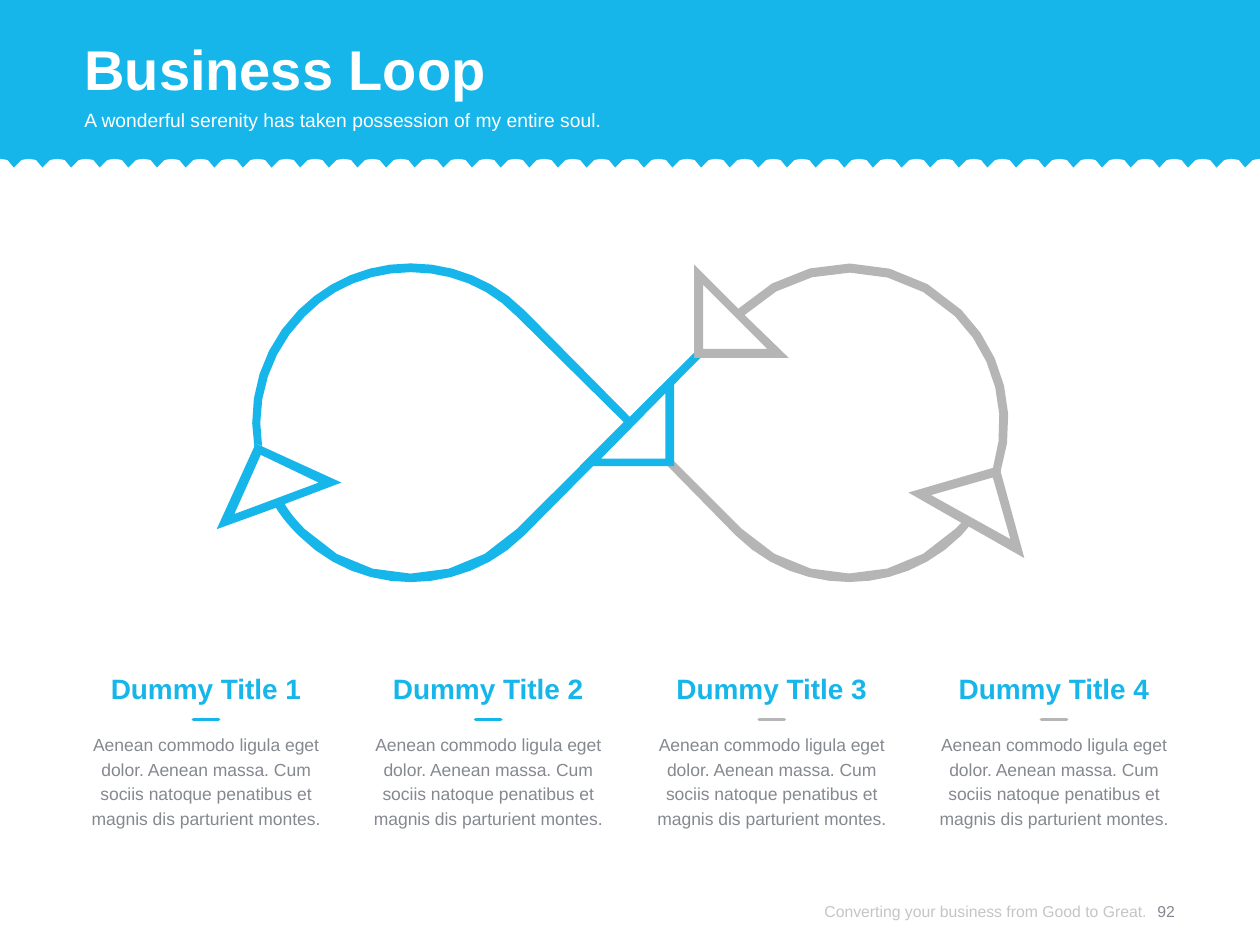
"""Build the Business Loop slide: a scalloped header, a loop of four arrows and four captions."""
import dataclasses
import typing

import lxml.etree
import pptx
import pptx.dml.color
import pptx.enum.shapes
import pptx.enum.text
import pptx.oxml.ns
import pptx.util

SCALE = 9144
CURVE_STEPS = 6
SLIDE_WIDTH, SLIDE_HEIGHT = 1000, 750
ALIGN = pptx.enum.text.PP_ALIGN
ANCHOR = pptx.enum.text.MSO_ANCHOR
qn = pptx.oxml.ns.qn

Contour = list[tuple[float, ...]]


@dataclasses.dataclass(frozen=True)
class Theme:
    font: str = "Arial"
    blue: str = "16B6EA"
    gray: str = "B5B5B5"
    white: str = "FFFFFF"
    body: str = "85898F"
    footer: str = "8C8C8C"
    title_size: int = 32
    subtitle_size: int = 11
    heading_size: int = 16
    body_size: int = 10
    footer_size: int = 9


class Box(typing.NamedTuple):
    left: int
    top: int
    width: int
    height: int


class Style(typing.NamedTuple):
    size: int
    color: str
    bold: bool = False
    align: ALIGN = ALIGN.LEFT
    anchor: ANCHOR = ANCHOR.TOP
    line_points: int | None = None


class Caption(typing.NamedTuple):
    heading: str
    dash_color: str


class Arrow(typing.NamedTuple):
    color: str
    outline: Contour
    hole: Contour


THEME = Theme()
CAPTION_TEXT = ("Aenean commodo ligula eget dolor. Aenean massa. Cum sociis natoque "
                "penatibus et magnis dis parturient montes.")
CAPTIONS = [Caption(f"Dummy Title {number}", color) for number, color in
            enumerate((THEME.blue, THEME.blue, THEME.gray, THEME.gray), 1)]
ARROWS = [
    Arrow(THEME.gray,
          [(793, 370), (721, 391), (763, 415), (758, 420),
           (712, 467, 636, 467, 589, 420), (535, 366), (535, 370), (530, 370), (584, 425),
           (609, 450, 642, 462, 674, 462), (706, 462, 738, 450, 763, 425),
           (769, 418), (813, 443)],
          [(739, 393), (788, 379), (802, 428)]),
    Arrow(THEME.gray,
          [(763, 246), (714, 197, 635, 197, 586, 245), (551, 210), (551, 284), (626, 284),
           (591, 250), (637, 205, 712, 205, 758, 251), (790, 283, 801, 329, 788, 372),
           (793, 370), (794, 375), (809, 329, 797, 280, 763, 246)],
          [(609, 277), (558, 277), (558, 226)]),
    Arrow(THEME.blue,
          [(551, 284), (551, 280), (410, 420), (364, 467, 288, 467, 242, 420),
           (236, 414, 230, 407, 226, 400), (271, 383), (203, 352), (172, 420), (219, 403),
           (224, 411, 230, 418, 237, 425), (262, 450, 294, 462, 326, 462),
           (358, 462, 391, 450, 416, 425), (556, 284)],
          [(186, 408), (207, 361), (253, 383)]),
    Arrow(THEME.blue,
          [(500, 331), (416, 246), (392, 222, 360, 209, 326, 209),
           (292, 209, 261, 222, 237, 246), (208, 275, 195, 316, 202, 356), (203, 352),
           (208, 354), (202, 317, 215, 278, 242, 251), (264, 228, 294, 216, 326, 216),
           (358, 216, 388, 228, 410, 251), (495, 335), (460, 370), (535, 370), (535, 296)],
          [(528, 364), (477, 364), (528, 312)]),
]


def px(length: float) -> pptx.util.Emu:
    """Turn px into EMU."""
    return pptx.util.Emu(round(length * SCALE))


def rgb(color: str) -> pptx.dml.color.RGBColor:
    """Read a colour from its hexadecimal form."""
    return pptx.dml.color.RGBColor.from_string(color)


def flatten(contour: Contour) -> list[tuple[int, int]]:
    """Turn corners and cubic curves into a list of EMU points."""
    points = [contour[0]]
    for vertex in contour[1:]:
        if len(vertex) == 2:
            points.append(vertex)
            continue
        controls = (points[-1], vertex[:2], vertex[2:4], vertex[4:])
        for step in range(1, CURVE_STEPS + 1):
            t = step / CURVE_STEPS
            weights = ((1 - t) ** 3, 3 * t * (1 - t) ** 2, 3 * t ** 2 * (1 - t), t ** 3)
            points.append(tuple(sum(weight * control[axis] for weight, control
                                    in zip(weights, controls)) for axis in (0, 1)))
    return [(px(x), px(y)) for x, y in points]


def draw_outline(shapes, color: str, *contours: Contour):
    """Draw a filled outline, with any further contours as holes."""
    first, *holes = [flatten(contour) for contour in contours]
    builder = shapes.build_freeform(*first[0])
    builder.add_line_segments(first[1:], close=True)
    for hole in holes:
        builder.move_to(*hole[0])
        builder.add_line_segments(hole[1:], close=True)
    shape = builder.convert_to_shape()
    shape.shadow.inherit = False
    shape.fill.solid()
    shape.fill.fore_color.rgb = rgb(color)
    shape.line.fill.background()
    return shape


def scalloped_band() -> Contour:
    """Outline the header band with its row of equal scallops."""
    count = 44
    pitch = SLIDE_WIDTH / count
    scallop = ((0, 126), (6, 127), (11, 133), (17, 127))
    edge = [(index * pitch + x, y) for index in range(count) for x, y in scallop]
    return [(0, 0), *edge, (SLIDE_WIDTH, 126), (SLIDE_WIDTH, 0)]


def write_text(shape, box: Box, text: str, style: Style) -> None:
    """Place a text shape and write one formatted run in it."""
    shape.left, shape.top, shape.width, shape.height = map(px, box)
    frame = shape.text_frame
    frame.word_wrap = True
    frame.auto_size = pptx.enum.text.MSO_AUTO_SIZE.NONE
    frame.vertical_anchor = style.anchor
    frame.margin_left = frame.margin_top = frame.margin_right = frame.margin_bottom = 0
    paragraph = frame.paragraphs[0]
    paragraph.alignment = style.align
    paragraph.space_before = pptx.util.Pt(0)
    if style.line_points:
        paragraph.line_spacing = pptx.util.Pt(style.line_points)
    run = paragraph.add_run()
    run.text = text
    run.font.name = THEME.font
    run.font.size = pptx.util.Pt(style.size)
    run.font.bold = style.bold
    run.font.color.rgb = rgb(style.color)


def add_text(shapes, box: Box, text: str, style: Style):
    """Add a text box."""
    shape = shapes.add_textbox(*map(px, box))
    write_text(shape, box, text, style)
    return shape


def draw_caption(slide, left: int, caption: Caption) -> None:
    """Draw a grouped heading, dash and paragraph."""
    width, dash_width, dash_top = 193, 20, 571
    shapes = slide.shapes.add_group_shape().shapes
    add_text(shapes, Box(left, 580, width, 79), CAPTION_TEXT,
             Style(THEME.body_size, THEME.body, align=ALIGN.CENTER, line_points=14))
    add_text(shapes, Box(left, 533, width, 27), caption.heading,
             Style(THEME.heading_size, THEME.blue, bold=True, align=ALIGN.CENTER))
    start = left + (width - dash_width) / 2
    dash = shapes.add_connector(pptx.enum.shapes.MSO_CONNECTOR.STRAIGHT, px(start),
                                px(dash_top), px(start + dash_width), px(dash_top))
    dash.line.color.rgb = rgb(caption.dash_color)
    dash.line.width = pptx.util.Pt(2)
    properties = dash.element.spPr
    properties.find(qn("a:ln")).set("cap", "rnd")
    lxml.etree.SubElement(properties, qn("a:effectLst"))


def main() -> None:
    """Build and save the slide."""
    presentation = pptx.Presentation()
    presentation.slide_width, presentation.slide_height = px(SLIDE_WIDTH), px(SLIDE_HEIGHT)
    slide = presentation.slides.add_slide(presentation.slide_layouts.get_by_name("Section Header"))
    title, subtitle = slide.placeholders
    band = draw_outline(slide.shapes, THEME.blue, scalloped_band())
    title.element.addprevious(band.element)
    write_text(title, Box(67, 19, 866, 65), "Business Loop",
               Style(THEME.title_size, THEME.white, True, anchor=ANCHOR.MIDDLE, line_points=42))
    next(title.element.iter(qn("a:rPr"))).set("cap", "none")
    write_text(subtitle, Box(67, 86, 866, 39),
               "A wonderful serenity has taken possession of my entire soul.",
               Style(THEME.subtitle_size, THEME.white))
    footer = add_text(slide.shapes, Box(604, 696, 306, 54),
                      "Converting your business from Good to Great.",
                      Style(THEME.footer_size, THEME.footer, align=ALIGN.RIGHT, anchor=ANCHOR.MIDDLE))
    footer_color = next(footer.element.iter(qn("a:srgbClr")))
    lxml.etree.SubElement(footer_color, qn("a:alpha")).set("val", "50000")
    add_text(slide.shapes, Box(902, 696, 47, 54), "92",
             Style(THEME.footer_size, THEME.body, align=ALIGN.CENTER, anchor=ANCHOR.MIDDLE))
    for index, caption in enumerate(CAPTIONS):
        draw_caption(slide, round(67 + index * 673 / 3), caption)
    for arrow in ARROWS:
        draw_outline(slide.shapes, arrow.color, arrow.outline, arrow.hole)
    presentation.save("out.pptx")


if __name__ == "__main__":
    main()
